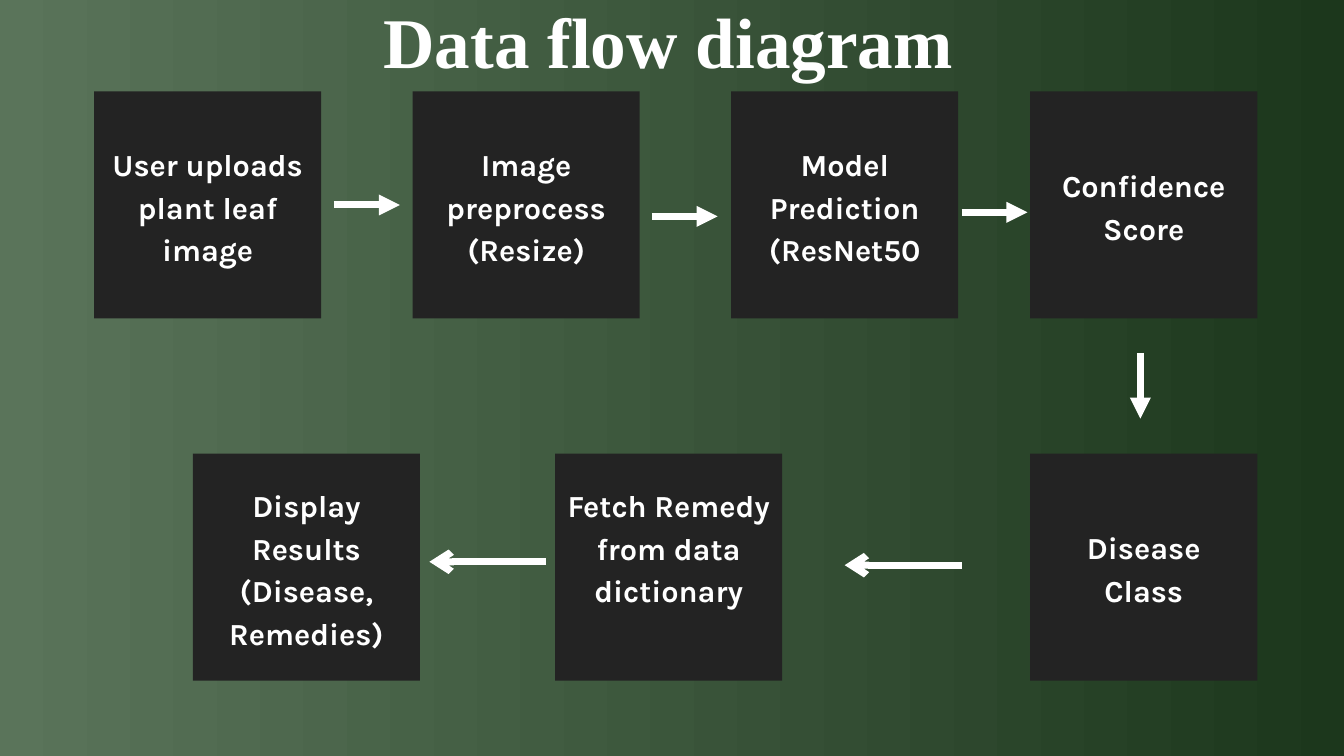
from dataclasses import dataclass

from lxml import etree
from pptx import Presentation
from pptx import util as u
from pptx.dml.color import RGBColor
from pptx.enum import shapes, text
from pptx.oxml.ns import qn


@dataclass(frozen=True)
class Theme:
    light: str = "5A745A"
    dark: str = "1C371C"
    tile: str = "232323"
    ink: str = "FFFFFF"
    title_font: str = "Times New Roman"
    label_font: str = "Karla"
    title_size: float = 76.3
    title_leading: float = 106.9
    label_size: float = 32.8
    label_leading: float = 45.9
    arrow_width: float = 7.5


@dataclass(frozen=True)
class Box:
    """A rectangle in grid units; one column or row is one inch."""
    x: float
    y: float
    w: float
    h: float

    def emu(self):
        return [u.Inches(v) for v in (self.x, self.y, self.w, self.h)]


THEME = Theme()
COLUMNS, ROWS = 20, 11.25
TILE = 3.38
TOP_ROW, BOTTOM_ROW = 1.36, 6.75
LAST_COLUMN = 15.33
LABEL_LINE = 0.63      # height of one label line
LABEL_INSET = 0.1
LABEL_LIFT = 0.03      # labels sit slightly above the middle of a tile

# left, top, lines reserved for the label, label
STEPS = [
    (1.4, TOP_ROW, 3, "User uploads plant leaf image"),
    (6.14, TOP_ROW, 3, "Image preprocess\n(Resize)"),
    (10.88, TOP_ROW, 3, "Model Prediction\n(ResNet50"),
    (LAST_COLUMN, TOP_ROW, 2, "Confidence Score"),
    (LAST_COLUMN, BOTTOM_ROW, 2, "Disease\nClass"),
    (8.26, BOTTOM_ROW, 4, "Fetch Remedy from data dictionary"),
    (2.87, BOTTOM_ROW, 4, "Display Results (Disease,\nRemedies)"),
]

# start, end, arrowhead, in the order of the flow
FLOWS = [
    ((4.97, 3.05), (5.95, 3.05), "triangle"),
    ((9.7, 3.22), (10.68, 3.22), "triangle"),
    ((14.31, 3.16), (15.29, 3.16), "triangle"),
    ((16.97, 5.25), (16.97, 6.23), "triangle"),
    ((14.31, 8.41), (12.57, 8.41), "arrow"),
    ((8.12, 8.36), (6.39, 8.36), "arrow"),
]


def rgb(value):
    return RGBColor.from_string(value)


def write(shape, words, *, font, size, leading, color=THEME.ink, bold=True):
    frame = shape.text_frame
    frame.text = words
    frame.word_wrap = True
    frame.auto_size = text.MSO_AUTO_SIZE.NONE
    frame.vertical_anchor = text.MSO_ANCHOR.TOP
    frame.margin_left = frame.margin_right = 0
    frame.margin_top = frame.margin_bottom = 0
    for paragraph in frame.paragraphs:
        paragraph.alignment = text.PP_ALIGN.CENTER
        paragraph.line_spacing = u.Pt(leading)
        paragraph.space_before = u.Pt(0)
        for run in paragraph.runs:
            run.font.name = font
            run.font.size = u.Pt(size)
            run.font.bold = bold
            run.font.color.rgb = rgb(color)


def paint_background(slide):
    fill = slide.background.fill
    fill.gradient()
    fill.gradient_angle = 0
    for stop, position, color in zip(fill.gradient_stops, (0, 1),
                                     (THEME.light, THEME.dark)):
        stop.position = position
        stop.color.rgb = rgb(color)


def place_title(slide, box, words):
    title = slide.shapes.title
    title.left, title.top, title.width, title.height = box.emu()
    write(title, words, font=THEME.title_font, size=THEME.title_size,
          leading=THEME.title_leading)


def add_step(slide, box, lines, words):
    tile = slide.shapes.add_shape(shapes.MSO_SHAPE.RECTANGLE, *box.emu())
    tile.shadow.inherit = False
    tile.fill.solid()
    tile.fill.fore_color.rgb = rgb(THEME.tile)
    tile.line.fill.background()

    height = lines * LABEL_LINE
    area = Box(box.x + LABEL_INSET,
               box.y + (box.h - height) / 2 - LABEL_LIFT,
               box.w - 2 * LABEL_INSET, height)
    label = slide.shapes.add_textbox(*area.emu())
    write(label, words, font=THEME.label_font, size=THEME.label_size,
          leading=THEME.label_leading)


def add_flow(slide, start, end, head):
    arrow = slide.shapes.add_connector(
        shapes.MSO_CONNECTOR.STRAIGHT,
        *(u.Inches(v) for v in (*start, *end)))
    arrow.line.width = u.Pt(THEME.arrow_width)
    arrow.line.color.rgb = rgb(THEME.ink)
    properties = arrow.element.spPr
    etree.SubElement(properties.find(qn("a:ln")), qn("a:tailEnd"), type=head)
    etree.SubElement(properties, qn("a:effectLst"))


def main():
    deck = Presentation()
    deck.slide_width, deck.slide_height = u.Inches(COLUMNS), u.Inches(ROWS)
    slide = deck.slides.add_slide(deck.slide_layouts.get_by_name("Title Only"))
    paint_background(slide)
    place_title(slide, Box(4.56, -0.26, 10.77, 1.59), "Data flow diagram")
    for left, top, lines, words in STEPS:
        add_step(slide, Box(left, top, TILE, TILE), lines, words)
    for start, end, head in FLOWS:
        add_flow(slide, start, end, head)
    deck.save("out.pptx")


if __name__ == "__main__":
    main()
